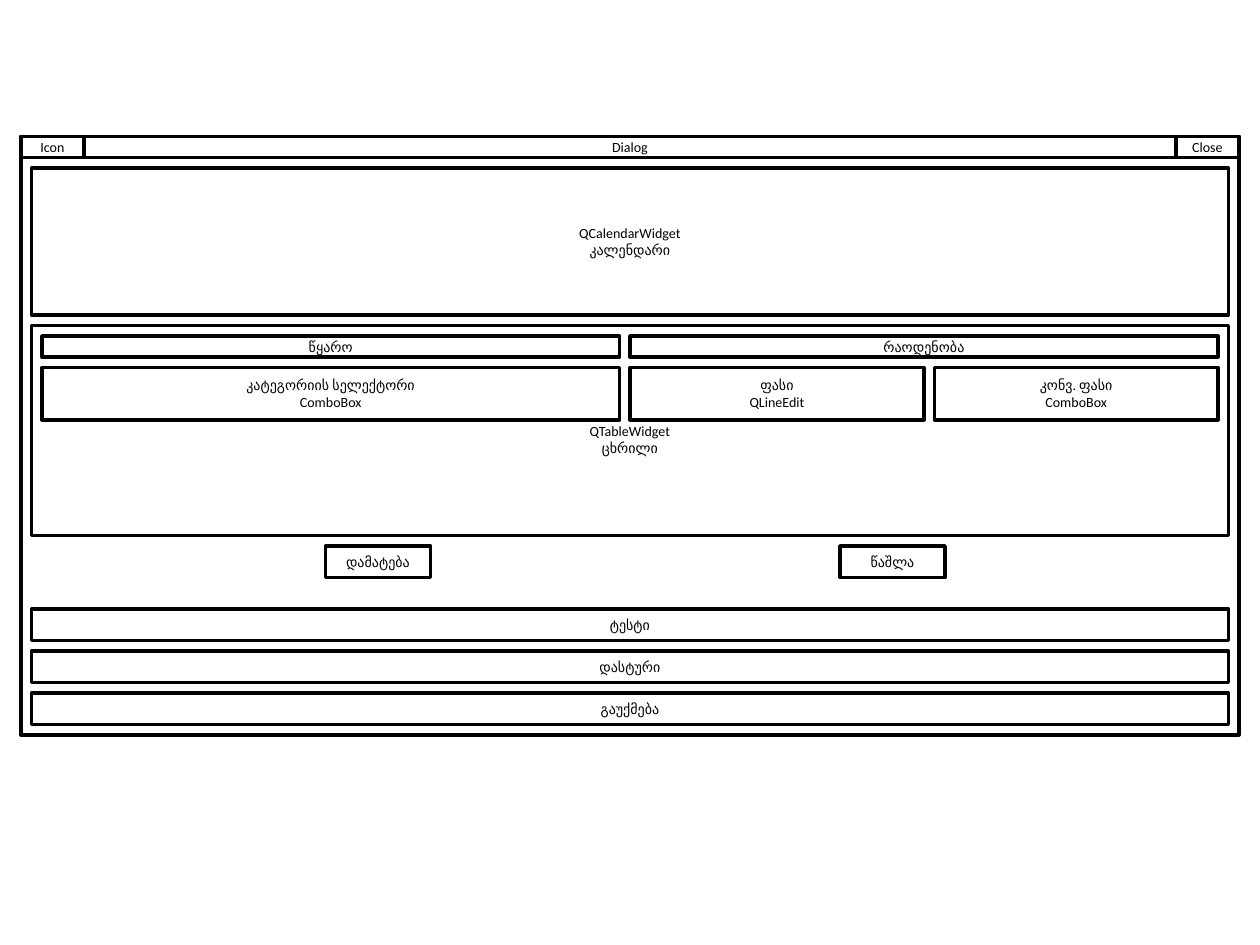
import pptx
import pptx.dml.color
import pptx.enum.shapes
import pptx.enum.text
import pptx.util

Cm = pptx.util.Cm
Pt = pptx.util.Pt

UNIT = 2.54 / 12  # the wireframe sits on a grid of twelve steps to the inch
INK, PAPER = "000000", "FFFFFF"
FONT = {"name": "Calibri", "size": Pt(8)}
TABLE_TEXT_INSET = Cm(0.47)  # pushes the table caption below the input row

FRAME_LEFT, FRAME_WIDTH = 2, 116
PANEL_LEFT, PANEL_WIDTH = 3, 114
TITLE_TOP, TITLE_HEIGHT, CORNER_WIDTH = 13, 2, 6
HEADER_TOP, INPUT_TOP = 32, 35
BUTTON_TOP, BUTTON_WIDTH, BUTTON_HEIGHT = 52, 10, 3
FOOTER_TOP, FOOTER_STEP = 58, 4

TABLE = ["QTableWidget", "ცხრილი"]
# lines, left, top, width, height in grid steps
PANELS = [
    ([], FRAME_LEFT, 15, FRAME_WIDTH, 55),
    (["Dialog"], FRAME_LEFT, TITLE_TOP, FRAME_WIDTH, TITLE_HEIGHT),
    (["QCalendarWidget", "კალენდარი"], PANEL_LEFT, 16, PANEL_WIDTH, 14),
    (TABLE, PANEL_LEFT, 31, PANEL_WIDTH, 20),
]
# lines, left, width
CORNERS = [
    (["Icon"], FRAME_LEFT, CORNER_WIDTH),
    (["Close"], FRAME_LEFT + FRAME_WIDTH - CORNER_WIDTH, CORNER_WIDTH),
]
HEADERS = [(["წყარო"], 4, 55), (["რაოდენობა"], 60, 56)]
INPUTS = [
    (["კატეგორიის სელექტორი", "ComboBox"], 4, 55),
    (["ფასი", "QLineEdit"], 60, 28),
    (["კონვ. ფასი", "ComboBox"], 89, 27),
]
BUTTONS = [(["დამატება"], 31, BUTTON_WIDTH), (["წაშლა"], 80, BUTTON_WIDTH)]
FOOTERS = ["ტესტი", "დასტური", "გაუქმება"]


def color(value):
    return pptx.dml.color.RGBColor.from_string(value)


def add_box(slide, lines, left, top, width, height):
    box = slide.shapes.add_shape(
        pptx.enum.shapes.MSO_SHAPE.RECTANGLE,
        *(Cm(steps * UNIT) for steps in (left, top, width, height)))
    box.shadow.inherit = False
    box.fill.solid()
    box.fill.fore_color.rgb = color(PAPER)
    box.line.color.rgb = color(INK)
    box.line.width = Pt(2)
    frame = box.text_frame
    frame.vertical_anchor = pptx.enum.text.MSO_ANCHOR.MIDDLE
    for index, line in enumerate(lines):
        para = frame.add_paragraph() if index else frame.paragraphs[0]
        para.alignment = pptx.enum.text.PP_ALIGN.CENTER
        span = para.add_run()
        span.text = line
        for key, value in FONT.items():
            setattr(span.font, key, value)
        span.font.color.rgb = color(INK)
    return box


def add_row(slide, cells, top, height):
    for lines, left, width in cells:
        add_box(slide, lines, left, top, width, height)


def main():
    deck = pptx.Presentation()
    deck.slide_width, deck.slide_height = Cm(25.4), Cm(19.05)
    page = deck.slides.add_slide(deck.slide_layouts[6])

    for lines, *place in PANELS:
        box = add_box(page, lines, *place)
        if lines is TABLE:
            box.text_frame.margin_top = TABLE_TEXT_INSET

    add_row(page, CORNERS, TITLE_TOP, TITLE_HEIGHT)
    add_row(page, HEADERS, HEADER_TOP, 2)
    add_row(page, INPUTS, INPUT_TOP, 5)
    add_row(page, BUTTONS, BUTTON_TOP, BUTTON_HEIGHT)
    for index, label in enumerate(FOOTERS):
        add_box(page, [label], PANEL_LEFT, FOOTER_TOP + index * FOOTER_STEP,
                PANEL_WIDTH, BUTTON_HEIGHT)

    deck.save("out.pptx")


if __name__ == "__main__":
    main()
